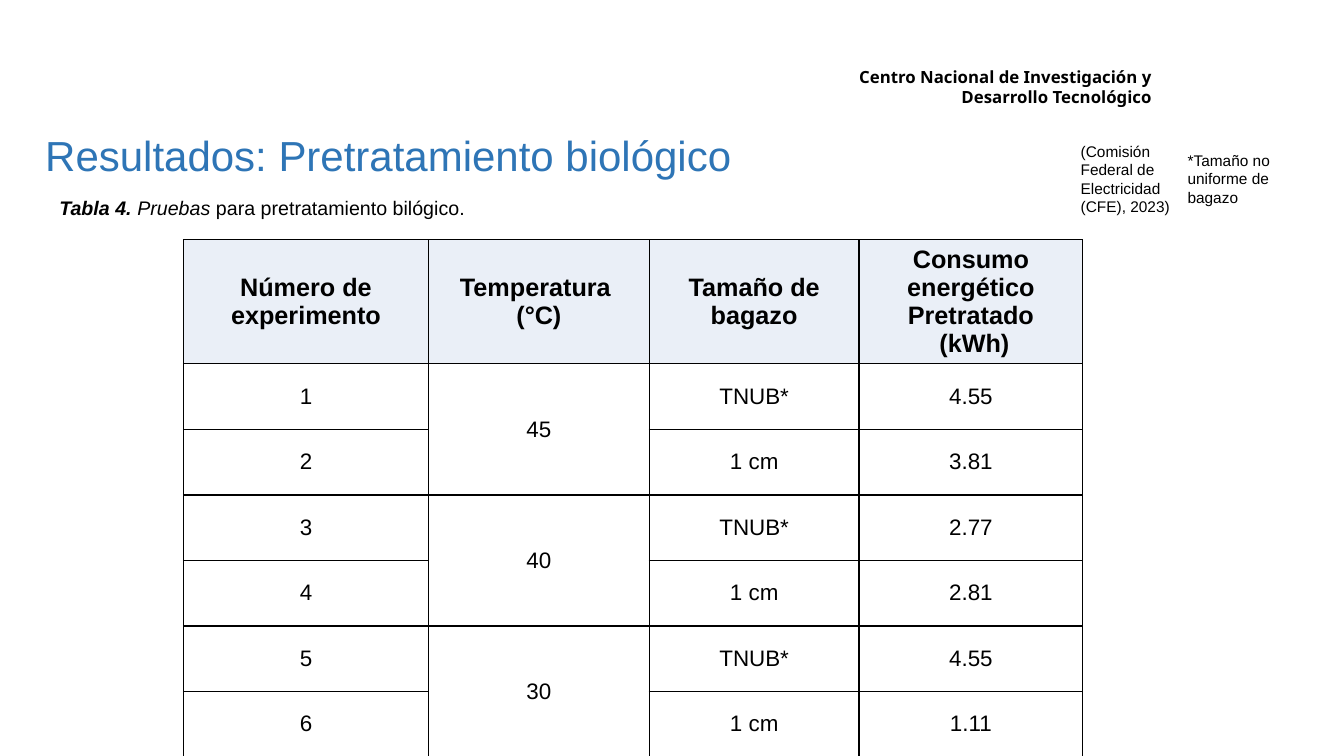
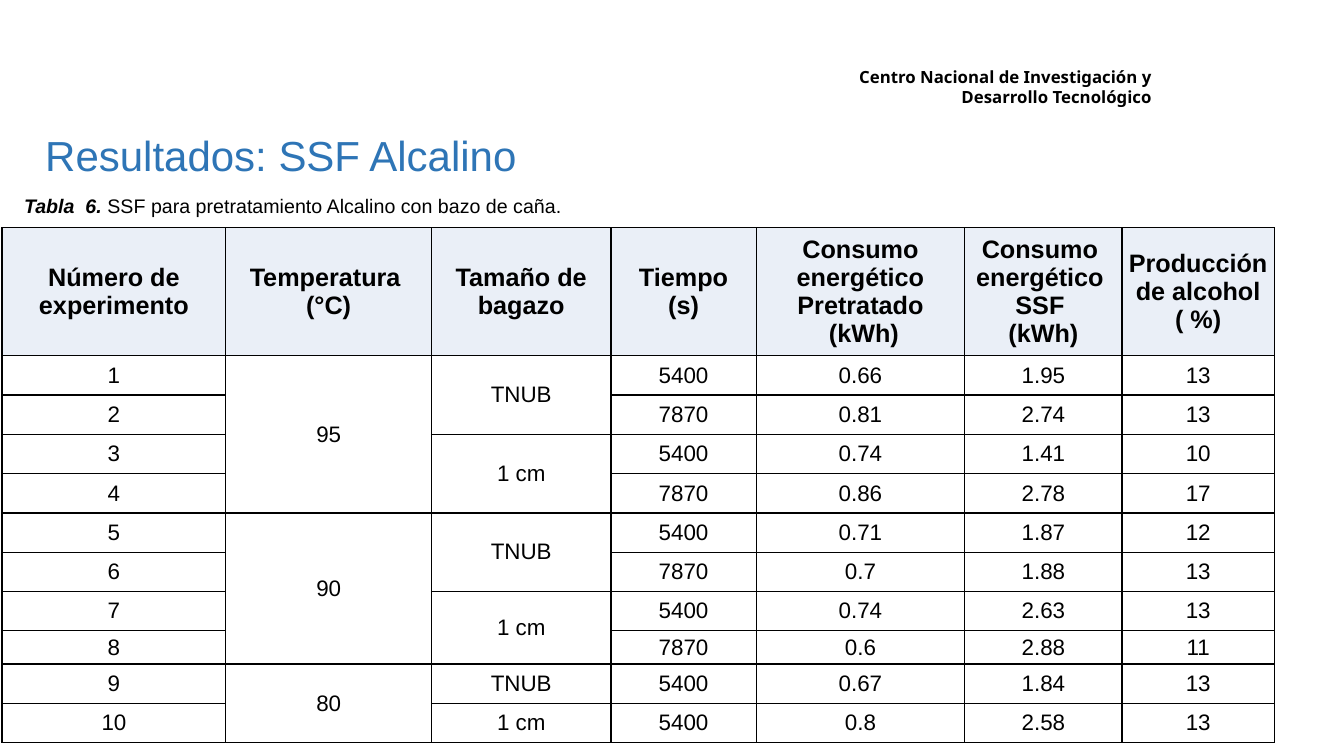
import pptx
import pptx.util
import pptx.dml.color
import pptx.enum.text
import pptx.oxml

Inches = pptx.util.Inches
ALIGN = pptx.enum.text.PP_ALIGN
MIDDLE = pptx.enum.text.MSO_ANCHOR.MIDDLE
GROW = pptx.enum.text.MSO_AUTO_SIZE.SHAPE_TO_FIT_TEXT

BLACK = "000000"
BLUE = "2E75B6"
PALE = "EAEFF7"
WHITE = "FFFFFF"
CENTER = "Centro Nacional de Investigación y Desarrollo Tecnológico"
NS = "http://schemas.openxmlformats.org/drawingml/2006/main"

HEADS = {
    "num": "Número de experimento",
    "temp": "Temperatura \n(°C)",
    "size": "Tamaño de bagazo",
    "time": "Tiempo\n(s)",
    "pre": "Consumo energético\nPretratado\n (kWh)",
    "ssf": "Consumo \nenergético \nSSF \n(kWh)",
    "prod": "Producción\nde alcohol\n( %)",
}

BIO = [
    ("1", "45", "TNUB*", "4.55"),
    ("2", None, "1 cm", "3.81"),
    ("3", "40", "TNUB*", "2.77"),
    ("4", None, "1 cm", "2.81"),
    ("5", "30", "TNUB*", "4.55"),
    ("6", None, "1 cm", "1.11"),
]

SSF = [
    ("1", "95", "TNUB", "5400", "0.66", "1.95", "13"),
    ("2", None, None, "7870", "0.81", "2.74", "13"),
    ("3", None, "1 cm", "5400", "0.74", "1.41", "10"),
    ("4", None, None, "7870", "0.86", "2.78", "17"),
    ("5", "90", "TNUB", "5400", "0.71", "1.87", "12"),
    ("6", None, None, "7870", "0.7", "1.88", "13"),
    ("7", None, "1 cm", "5400", "0.74", "2.63", "13"),
    ("8", None, None, "7870", "0.6", "2.88", "11"),
    ("9", "80", "TNUB", "5400", "0.67", "1.84", "13"),
    ("10", None, "1 cm", "5400", "0.8", "2.58", "13"),
]


def paint(target, color):
    if hasattr(target, "solid"):
        target.solid()
        target = target.fore_color
    target.rgb = pptx.dml.color.RGBColor.from_string(color)


def write(par, text, size=14, font="Arial", color=BLACK, bold=False, italic=False):
    run = par.add_run()
    run.text = text
    run.font.size = pptx.util.Pt(size)
    run.font.name = font
    run.font.bold = bold
    run.font.italic = italic
    paint(run.font.color, color)


def add_box(slide, place, grow=True):
    shape = slide.shapes.add_textbox(*map(Inches, place))
    frame = shape.text_frame
    frame.word_wrap = True
    if grow:
        frame.auto_size = GROW
    else:
        frame.vertical_anchor = MIDDLE
    return frame.paragraphs[0]


def add_frame(deck, title):
    slide = deck.slides.add_slide(deck.slide_layouts[6])
    par = add_box(slide, (7.85, 0.61, 3.67, 0.5))
    par.alignment = ALIGN.RIGHT
    write(par, CENTER, size=12, font="Noto Sans", bold=True)
    par = add_box(slide, (0.35, 1.09, 12.88, 0.96), grow=False)
    par.line_spacing = 0.9
    write(par, title, size=30, color=BLUE)
    return slide


def add_edges(cell):
    props = cell._tc.get_or_add_tcPr()
    for side in "LRTB":
        props.append(pptx.oxml.parse_xml(
            f'<a:ln{side} xmlns:a="{NS}" w="12700"><a:solidFill>'
            f'<a:srgbClr val="{BLACK}"/></a:solidFill></a:ln{side}>'))


def fill_cell(cell, text, head):
    add_edges(cell)
    paint(cell.fill, PALE if head else WHITE)
    cell.margin_left = cell.margin_right = 0
    cell.margin_top = cell.margin_bottom = 0
    cell.vertical_anchor = MIDDLE
    if text is None:
        return
    frame = cell.text_frame
    for index, line in enumerate(text.split("\n")):
        par = frame.add_paragraph() if index else frame.paragraphs[0]
        par.alignment = ALIGN.CENTER
        write(par, line, size=18 if head else 16, bold=head)


def merge_gaps(table, rows):
    for col in range(len(rows[0])):
        starts = [r for r, row in enumerate(rows) if row[col] is not None]
        for first, after in zip(starts, starts[1:] + [len(rows)]):
            if after - first > 1:
                table.cell(first, col).merge(table.cell(after - 1, col))


def add_grid(slide, left, top, widths, heights, heads, data):
    rows = [[HEADS[key] for key in heads]] + data
    shape = slide.shapes.add_table(
        len(rows), len(widths), Inches(left), Inches(top),
        Inches(sum(widths)), Inches(sum(heights)))
    table = shape.table
    table.first_row = table.horz_banding = False
    for col, width in zip(table.columns, widths):
        col.width = Inches(width)
    for r, (row, height) in enumerate(zip(rows, heights)):
        table.rows[r].height = Inches(height)
        for c, text in enumerate(row):
            fill_cell(table.cell(r, c), text, r == 0)
    merge_gaps(table, rows)


def add_bio(deck):
    slide = add_frame(deck, "Resultados: Pretratamiento biológico")
    par = add_box(slide, (0.49, 1.89, 5.94, 0.34))
    write(par, "Tabla 4. ", bold=True, italic=True)
    write(par, "Pruebas", italic=True)
    write(par, " para pretratamiento bilógico.")
    par = add_box(slide, (11.68, 1.45, 1.16, 0.66))
    write(par, "*Tamaño no uniforme de bagazo", size=11)
    par = add_box(slide, (10.62, 1.36, 1.24, 0.84))
    write(par, "(Comisión Federal de Electricidad (CFE), 2023)", size=11)
    add_grid(slide, 1.82, 2.38, [2.43, 2.19, 2.08, 2.22],
             [1.23] + [0.65] * 6, ["num", "temp", "size", "pre"], BIO)


def add_ssf(deck):
    slide = add_frame(deck, "Resultados: SSF Alcalino")
    par = add_box(slide, (0.14, 1.87, 11.26, 0.34))
    write(par, "Tabla  6.", bold=True, italic=True)
    write(par, " SSF para pretratamiento Alcalino con bazo de caña.")
    add_grid(slide, 0.02, 2.26, [2.22, 2.04, 1.78, 1.44, 2.07, 1.56, 1.51],
             [1.27] + [0.39] * 7 + [0.33] + [0.39] * 2, list(HEADS), SSF)


def main():
    deck = pptx.Presentation()
    deck.slide_width = Inches(13.33)
    deck.slide_height = Inches(7.5)
    add_bio(deck)
    add_ssf(deck)
    deck.save("out.pptx")


if __name__ == "__main__":
    main()
